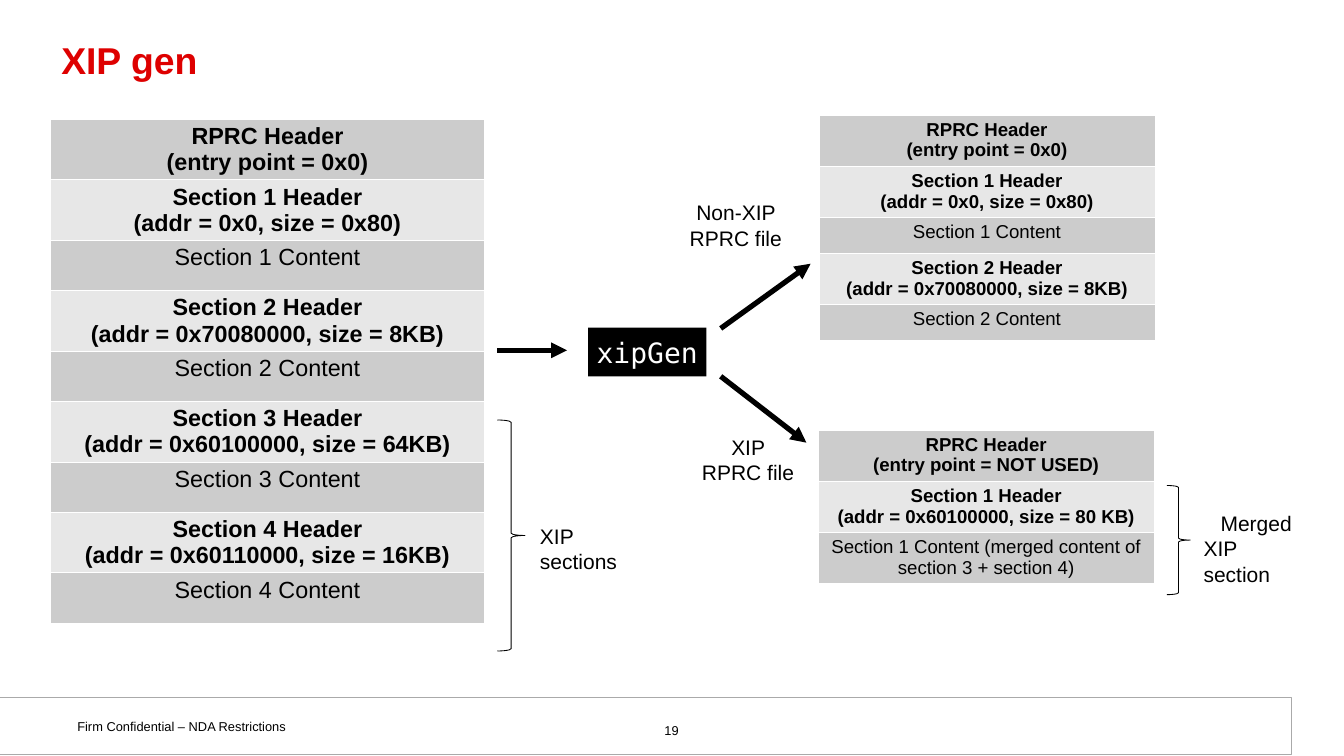
"""Build the XIP gen slide: one boot image split into XIP and non-XIP files."""
from dataclasses import dataclass

from lxml import etree
from pptx import Presentation
from pptx.dml.color import RGBColor
from pptx.enum.shapes import MSO_CONNECTOR, MSO_SHAPE
from pptx.enum.text import MSO_ANCHOR, PP_ALIGN
from pptx.oxml.ns import qn
from pptx.shapes.autoshape import Shape
from pptx.slide import Slide
from pptx.text.text import TextFrame
from pptx.util import Inches, Pt

BLACK = RGBColor(0x00, 0x00, 0x00)
WHITE = RGBColor(0xFF, 0xFF, 0xFF)
RED = RGBColor(0xDE, 0x00, 0x00)
FOOTER_GRAY = RGBColor(0xAA, 0xAA, 0xAA)
ROW_FILLS = (RGBColor(0xCC, 0xCC, 0xCC), RGBColor(0xE7, 0xE7, 0xE7))
LEFT, CENTER = PP_ALIGN.LEFT, PP_ALIGN.CENTER
TOP, MIDDLE = MSO_ANCHOR.TOP, MSO_ANCHOR.MIDDLE
RECTANGLE, RIGHT_BRACE = MSO_SHAPE.RECTANGLE, MSO_SHAPE.RIGHT_BRACE
STRAIGHT = MSO_CONNECTOR.STRAIGHT
SANS, MONO = "Arial", "DejaVu Sans Mono"
SMALL_INSETS, WIDE_INSETS, CELL_INSETS = (0.1, 0.05), (0.13, 0.07), (0.12, 0.05)

Box = tuple[float, float, float, float]


@dataclass(frozen=True)
class TextStyle:
    size: float
    color: RGBColor = BLACK
    bold: bool = False
    font: str = SANS


@dataclass(frozen=True)
class Label:
    box: Box
    lines: tuple[str, ...]
    style: TextStyle = TextStyle(18)
    aligns: tuple[PP_ALIGN, ...] = (CENTER,)
    insets: tuple[float, float] = SMALL_INSETS
    anchor: MSO_ANCHOR = TOP
    wrap: bool = True
    line_spacing: float | None = None
    space_before: float = 0


@dataclass(frozen=True)
class ImageTable:
    left: float
    top: float
    width: float
    size: float
    heights: tuple[float, ...]
    rows: tuple[tuple[str, ...], ...]


@dataclass(frozen=True)
class Arrow:
    start: tuple[float, float]
    end: tuple[float, float]


def section(number: int, address: str, size: str) -> tuple[tuple[str, ...], ...]:
    """Return the header row and the content row of one section."""
    return (
        (f"Section {number} Header", f"(addr = {address}, size = {size})"),
        (f"Section {number} Content",),
    )


START_HEADER = ("RPRC Header", "(entry point = 0x0)")
FIRST_SECTIONS = section(1, "0x0", "0x80") + section(2, "0x70080000", "8KB")
TABLES = (
    ImageTable(0.6, 1.42, 5.17, 20, (0.6,) * 9, (
        START_HEADER, *FIRST_SECTIONS,
        *section(3, "0x60100000", "64KB"), *section(4, "0x60110000", "16KB"))),
    ImageTable(9.75, 1.37, 4, 16, (0.61, 0.61, 0.43, 0.61, 0.43),
               (START_HEADER, *FIRST_SECTIONS)),
    ImageTable(9.74, 5.12, 4, 16, (0.61,) * 3, (
        ("RPRC Header", "(entry point = NOT USED)"),
        section(1, "0x60100000", "80 KB")[0],
        ("Section 1 Content (merged content of section 3 + section 4)",))),
)
LABELS = (
    Label((0.79, 8.48, 3.69, 0.31), ("Firm Confidential – NDA Restrictions",),
          TextStyle(11), (LEFT,), WIDE_INSETS, space_before=0),
    Label((0.6, 0.3, 14, 0.9), ("XIP gen",), TextStyle(32, RED, True), (LEFT,),
          WIDE_INSETS, MIDDLE, line_spacing=0.85),
    Label((6.13, 8.53, 3.73, 0.27), ("19",), TextStyle(11), insets=WIDE_INSETS),
    Label((7.93, 2.33, 1.66, 0.7), ("Non-XIP RPRC file",)),
    Label((8.24, 5.12, 1.33, 0.7), ("XIP RPRC file",)),
    Label((6.33, 6.18, 1.58, 0.4), ("XIP sections",), aligns=(LEFT,), wrap=False),
    Label((14.23, 6.03, 1.45, 0.7), ("Merged", "XIP section"),
          aligns=(CENTER, LEFT), wrap=False),
)
XIP_GEN = Label((7, 3.9, 1.41, 0.58), ("xipGen",),
                TextStyle(24, WHITE, font=MONO), anchor=MIDDLE)
ARROWS = (
    Arrow((5.92, 4.17), (6.75, 4.17)),
    Arrow((8.58, 3.91), (9.65, 3.14)),
    Arrow((8.58, 4.48), (9.6, 5.27)),
)
BRACES: tuple[Box, ...] = ((5.92, 5, 0.33, 2.75), (13.89, 5.78, 0.28, 1.3))
FOOTER: Box = (-0.03, 8.3, 15.4, 0.68)


def write_lines(frame: TextFrame, lines: tuple[str, ...], style: TextStyle,
                aligns: tuple[PP_ALIGN, ...]) -> None:
    """Write one paragraph per line, each as a single styled run."""
    for index, line in enumerate(lines):
        paragraph = frame.add_paragraph() if index else frame.paragraphs[0]
        paragraph.alignment = aligns[index % len(aligns)]
        run = paragraph.add_run()
        run.text = line
        run.font.name = style.font
        run.font.size = Pt(style.size)
        run.font.bold = style.bold
        run.font.color.rgb = style.color


def fill_label(shape: Shape, label: Label) -> None:
    """Set the text of a shape from its label."""
    frame = shape.text_frame
    frame.word_wrap = label.wrap
    frame.vertical_anchor = label.anchor
    frame.margin_left = frame.margin_right = Inches(label.insets[0])
    frame.margin_top = frame.margin_bottom = Inches(label.insets[1])
    write_lines(frame, label.lines, label.style, label.aligns)
    if label.line_spacing:
        frame.paragraphs[0].line_spacing = label.line_spacing


def add_preset(slide: Slide, preset: MSO_SHAPE, box: Box, fill: RGBColor | None,
               line: RGBColor | None) -> Shape:
    """Add a flat preset shape with an optional fill and thin outline."""
    shape = slide.shapes.add_shape(preset, *map(Inches, box))
    shape.shadow.inherit = False
    if fill is None:
        shape.fill.background()
    else:
        shape.fill.solid()
        shape.fill.fore_color.rgb = fill
    if line is None:
        shape.line.fill.background()
    else:
        shape.line.color.rgb = line
        shape.line.width = Pt(0.75)
    return shape


def add_image_table(slide: Slide, image: ImageTable) -> None:
    """Add a one-column table with alternating row fills."""
    table = slide.shapes.add_table(
        len(image.rows), 1, Inches(image.left), Inches(image.top),
        Inches(image.width), Inches(sum(image.heights))).table
    table.first_row = table.horz_banding = False
    for index, lines in enumerate(image.rows):
        table.rows[index].height = Inches(image.heights[index])
        cell = table.cell(index, 0)
        cell.margin_left = cell.margin_right = Inches(CELL_INSETS[0])
        cell.margin_top = cell.margin_bottom = Inches(CELL_INSETS[1])
        properties = cell._tc.get_or_add_tcPr()
        for side in ("a:lnL", "a:lnR", "a:lnT", "a:lnB"):
            border = etree.SubElement(properties, qn(side), w=str(Pt(0.96)))
            solid = etree.SubElement(border, qn("a:solidFill"))
            etree.SubElement(solid, qn("a:srgbClr"), val=str(WHITE))
        cell.fill.solid()
        cell.fill.fore_color.rgb = ROW_FILLS[index % 2]
        style = TextStyle(image.size, bold=len(lines) > 1)
        write_lines(cell.text_frame, lines, style, (CENTER,))


def add_arrow(slide: Slide, arrow: Arrow) -> None:
    """Add a thick straight arrow."""
    connector = slide.shapes.add_connector(
        STRAIGHT, *map(Inches, arrow.start + arrow.end))
    connector.line.color.rgb = BLACK
    connector.line.width = Pt(4.5)
    etree.SubElement(connector.line._get_or_add_ln(), qn("a:tailEnd"), type="triangle")
    etree.SubElement(connector._element.spPr, qn("a:effectLst"))


def main() -> None:
    """Build and save the slide."""
    presentation = Presentation()
    presentation.slide_width, presentation.slide_height = Inches(16), Inches(9)
    slide = presentation.slides.add_slide(presentation.slide_layouts[6])
    add_preset(slide, RECTANGLE, FOOTER, WHITE, FOOTER_GRAY)
    for image in TABLES:
        add_image_table(slide, image)
    fill_label(add_preset(slide, RECTANGLE, XIP_GEN.box, BLACK, None), XIP_GEN)
    for arrow in ARROWS:
        add_arrow(slide, arrow)
    for label in LABELS:
        fill_label(slide.shapes.add_textbox(*map(Inches, label.box)), label)
    for box in BRACES:
        add_preset(slide, RIGHT_BRACE, box, None, BLACK)
    presentation.save("out.pptx")


if __name__ == "__main__":
    main()
